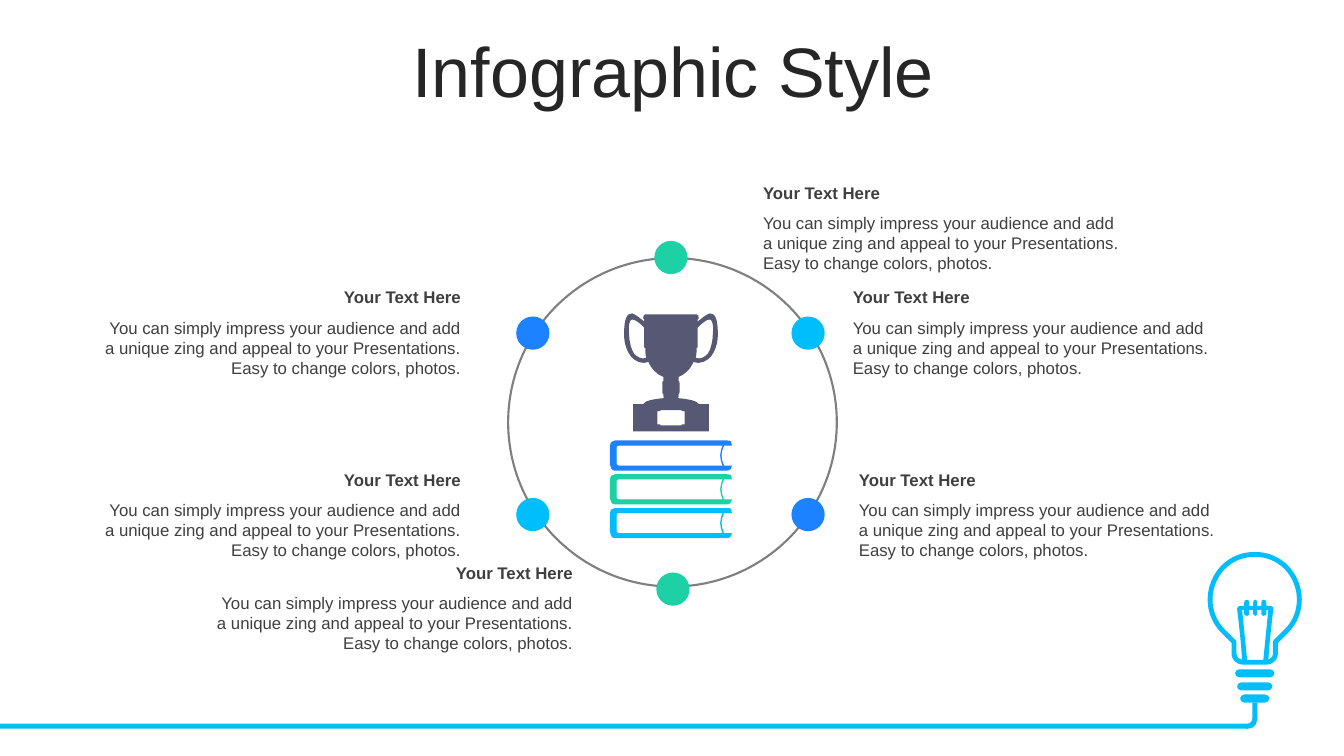
from lxml.etree import SubElement
from pptx import Presentation
from pptx.dml.color import RGBColor
from pptx.enum.shapes import MSO_SHAPE as Preset
from pptx.enum.text import MSO_ANCHOR as Anchor, PP_ALIGN as Align
from pptx.oxml.ns import qn
from pptx.util import Inches, Pt

CELL = Inches(0.01)
COLUMNS, ROWS = 1333, 750

WHITE = RGBColor(0xFF, 0xFF, 0xFF)
SKY = RGBColor(0x00, 0xBD, 0xFB)
BLUE = RGBColor(0x1C, 0x82, 0xFF)
GREEN = RGBColor(0x1E, 0xD0, 0xA6)
SLATE = RGBColor(0x56, 0x58, 0x74)
RING_GRAY = RGBColor(0x7F, 0x7F, 0x7F)
TITLE_GRAY = RGBColor(0x26, 0x26, 0x26)
TEXT_GRAY = RGBColor(0x3F, 0x3F, 0x3F)

HEADING = "Your Text Here"
BODY = ("You can simply impress your audience and add a unique zing and appeal "
        "to your Presentations. Easy to change colors, photos.")

CALLOUTS = [
    (747, 176, Align.LEFT), (836, 280, Align.LEFT), (842, 461, Align.LEFT),
    (93, 280, Align.RIGHT), (93, 461, Align.RIGHT), (204, 553, Align.RIGHT),
]
DOTS = [
    (649, 239, GREEN), (651, 568, GREEN), (785, 494, BLUE),
    (785, 314, SKY), (512, 494, SKY), (512, 314, BLUE),
]

BULB_AXIS = 1244.5
GLASS_HALF = [
    (BULB_AXIS, 550), (1256, 550, 1267, 554, 1276, 563),
    (1293, 581, 1293, 609, 1276, 626), (1265, 637), (1265, 649),
    (1265, 653, 1261, 657, 1256, 657), (BULB_AXIS, 657),
]
FILAMENT_AXIS = 1245
FILAMENT_HALF = [
    (1245, 595), (1246, 595, 1247, 596, 1247, 598), (1247, 601), (1251, 601),
    (1251, 598), (1251, 596, 1252, 595, 1253, 595),
    (1255, 595, 1256, 596, 1256, 598), (1256, 601), (1260, 601),
    (1262, 601, 1263, 603, 1263, 604), (1261, 621, 1259, 638, 1258, 655),
    (1258, 657, 1256, 658, 1255, 657), (1254, 657, 1253, 656, 1253, 655),
    (1258, 605), (1256, 605), (1256, 609), (1256, 610, 1255, 611, 1253, 611),
    (1252, 611, 1251, 610, 1251, 609), (1251, 605), (1247, 605), (1247, 609),
    (1247, 610, 1246, 611, 1245, 611),
]
SCREW_THREADS = [(1260, 664), (1258, 677), (1255, 689)]

CUP_AXIS = 665.5
CUP_HALF = [
    (CUP_AXIS, 312), (691, 312), (692, 312, 693, 313, 693, 315),
    (693, 316, 693, 317, 692, 317), (692, 319),
    (695, 317, 700, 312, 704, 311), (709, 311, 712, 315, 712, 332),
    (712, 341, 709, 349, 705, 354), (701, 358, 695, 362, 688, 359),
    (685, 366, 679, 372, 673, 374), (673, 378),
    (674, 378, 674, 379, 674, 380), (674, 389),
    (674, 390, 674, 391, 673, 391), (673, 394),
    (673, 394, 673, 395, 672, 395), (684, 396, 692, 398, 693, 401),
    (703, 401), (703, 428), (CUP_AXIS, 428),
]
PLAQUE_HALF = [
    (CUP_AXIS, 407), (676, 407), (676, 408), (679, 408), (679, 421),
    (676, 421), (676, 422), (CUP_AXIS, 422),
]
HANDLE_HOLE = [
    (704, 317), (701, 317, 697, 320, 692, 325), (692, 345), (691, 345),
    (691, 348, 691, 351, 690, 355), (695, 357, 699, 354, 702, 351),
    (705, 347, 707, 338, 707, 332), (708, 321, 706, 317, 704, 317),
]

BOOK_TOP, BOOK_PITCH = 437, 33.5
BOOK_PAGES = [(611, 4), (718, 4), (714, 12, 714, 18, 718, 26), (611, 26)]
BOOK_COVER = [
    (610, 0), (721, 0), (723, 0, 724, 0, 725, 1), (726, 5), (614, 5),
    (612, 5, 611, 6, 611, 8), (611, 22), (611, 23, 612, 25, 614, 25),
    (726, 25), (725, 28), (724, 29, 723, 30, 721, 30), (610, 30),
    (607, 30, 605, 27, 605, 24), (605, 6), (605, 2, 607, 0, 610, 0),
]


def cells(*counts):
    return [round(count * CELL) for count in counts]


def pairs(step):
    return list(zip(step[::2], step[1::2]))


def mirror(steps, axis):
    points = [(2 * axis - x, y) for step in steps for x, y in pairs(step)][::-1]
    mirrored, position = [points[0]], 1
    for step in reversed(steps[1:]):
        count = len(step) // 2
        mirrored.append(sum(points[position:position + count], ()))
        position += count
    return mirrored


def symmetric(half, axis):
    return half + mirror(half, axis)[1:]


def thread(right, top):
    return symmetric([(BULB_AXIS, top), (right, top),
                      (right + 2, top, right + 4, top + 2, right + 4, top + 4),
                      (right + 4, top + 6, right + 2, top + 8, right, top + 8),
                      (BULB_AXIS, top + 8)], BULB_AXIS)


def paint(shape, fill=None, line=None, width=1):
    shape.shadow.inherit = False
    if fill is None:
        shape.fill.background()
    else:
        shape.fill.solid()
        shape.fill.fore_color.rgb = fill
    if line is None:
        shape.line.fill.background()
    else:
        shape.line.color.rgb = line
        shape.line.width = Pt(width)


def add_preset(slide, preset, box, fill=None, line=None, width=1, adjustments=()):
    shape = slide.shapes.add_shape(preset, *cells(*box))
    for index, value in enumerate(adjustments):
        shape.adjustments[index] = value
    paint(shape, fill, line, width)


def bend(shape, steps):
    segments = iter(list(shape.element.iter(qn("a:lnTo"))))
    for step in steps:
        group = [next(segments) for _ in pairs(step)]
        if len(group) == 3:
            parent = group[0].getparent()
            curve = SubElement(parent, qn("a:cubicBezTo"))
            parent.replace(group[0], curve)
            for segment in group:
                curve.append(segment[0])
            for segment in group[1:]:
                parent.remove(segment)


def add_outline(slide, contours, fill, line=None, width=1):
    builder = slide.shapes.build_freeform(*cells(*contours[0][0]))
    for index, (start, *steps) in enumerate(contours):
        if index:
            builder.move_to(*cells(*start))
        points = [cells(*point) for step in steps for point in pairs(step)]
        builder.add_line_segments(points, close=True)
    shape = builder.convert_to_shape()
    bend(shape, [step for contour in contours for step in contour[1:]])
    paint(shape, fill, line, width)


def add_text(slide, box, text, size, color, align, bold=False, anchor=Anchor.TOP, spacing=1.0):
    frame = slide.shapes.add_textbox(*cells(*box)).text_frame
    frame.word_wrap = True
    frame.vertical_anchor = anchor
    paragraph = frame.paragraphs[0]
    paragraph.text = text
    paragraph.alignment = align
    paragraph.line_spacing = spacing
    paragraph.font.name = "Arial"
    paragraph.font.size = Pt(size)
    paragraph.font.bold = bold
    paragraph.font.color.rgb = color


def add_bulb(slide):
    add_outline(slide, [symmetric(GLASS_HALF, BULB_AXIS)], WHITE, SKY, 3.5)
    add_outline(slide, [thread(right, top) for right, top in SCREW_THREADS], SKY)
    add_outline(slide, [symmetric(FILAMENT_HALF, FILAMENT_AXIS)], SKY)
    add_preset(slide, Preset.RECTANGLE, (0, 718, 1237, 5), SKY)
    add_preset(slide, Preset.RECTANGLE, (1242, 697, 5, 17), SKY)
    add_preset(slide, Preset.BLOCK_ARC, (1228, 704, 19, 19), SKY,
               adjustments=[213.39, 60.92, 0.27])


def add_callout(slide, left, top, align):
    add_text(slide, (left, top + 30, 374, 71), BODY, 12, TEXT_GRAY, align)
    add_text(slide, (left, top, 374, 30), HEADING, 12, TEXT_GRAY, align, bold=True)


def add_book(slide, top, color):
    for steps, fill, line in ((BOOK_PAGES, WHITE, color), (BOOK_COVER, color, None)):
        placed = [sum(((x, y + top) for x, y in pairs(step)), ()) for step in steps]
        add_outline(slide, [placed], fill, line)


def add_trophy(slide):
    add_outline(slide, [symmetric(PLAQUE_HALF, CUP_AXIS), HANDLE_HOLE,
                        mirror(HANDLE_HOLE, CUP_AXIS), symmetric(CUP_HALF, CUP_AXIS)], SLATE)


def main():
    presentation = Presentation()
    presentation.slide_width, presentation.slide_height = cells(COLUMNS, ROWS)
    slide = presentation.slides.add_slide(presentation.slide_layouts[6])
    add_bulb(slide)
    add_text(slide, (35, 37, 1266, 79), "Infographic Style", 50, TITLE_GRAY,
             Align.CENTER, anchor=Anchor.MIDDLE, spacing=0.8)
    for left, top, align in CALLOUTS:
        add_callout(slide, left, top, align)
    add_preset(slide, Preset.OVAL, (504, 256, 326, 326), line=RING_GRAY, width=1.5)
    for left, top, color in DOTS:
        add_preset(slide, Preset.OVAL, (left, top, 33, 33), color)
    for index, color in enumerate((BLUE, GREEN, SKY)):
        add_book(slide, BOOK_TOP + index * BOOK_PITCH, color)
    add_trophy(slide)
    presentation.save("out.pptx")


if __name__ == "__main__":
    main()
